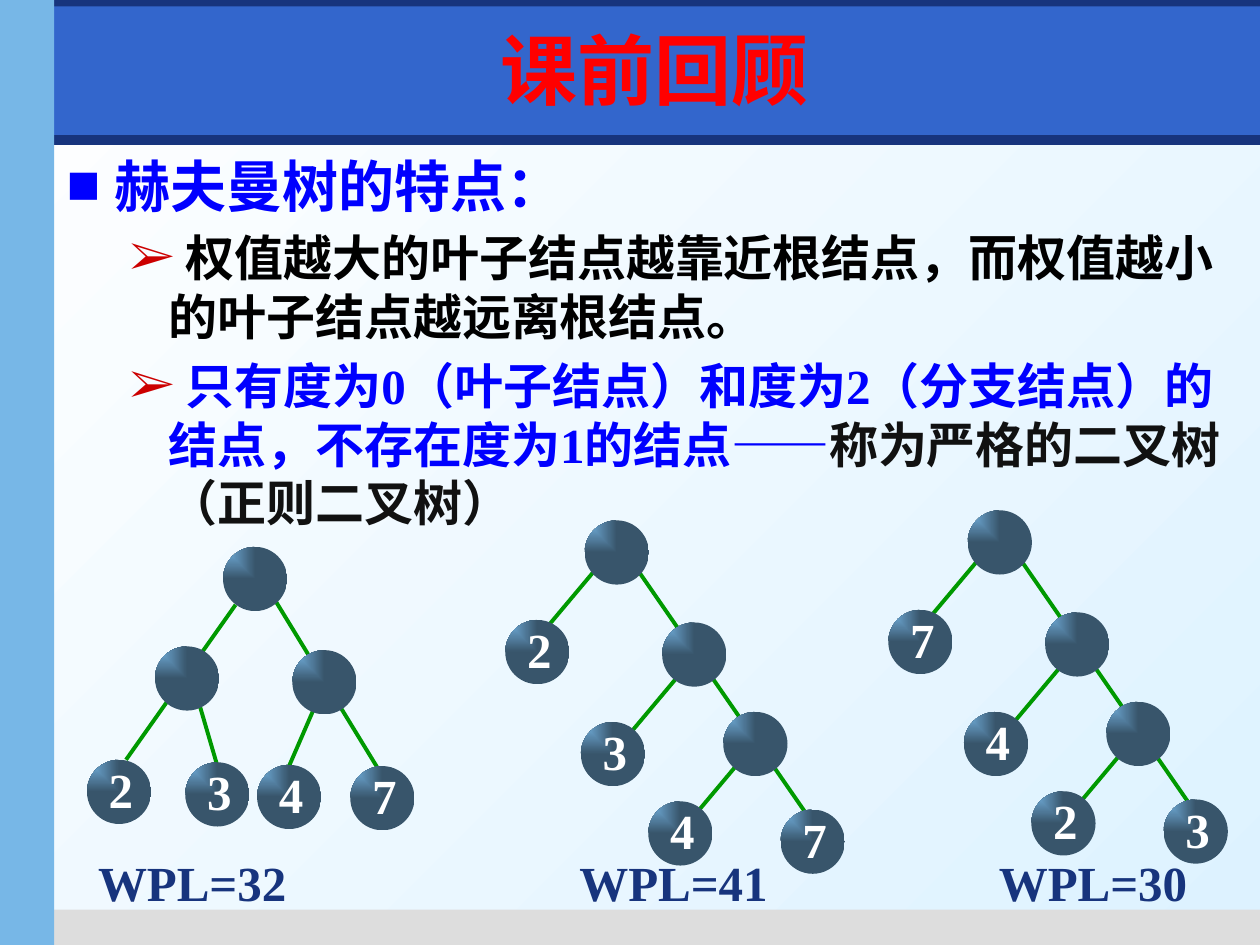
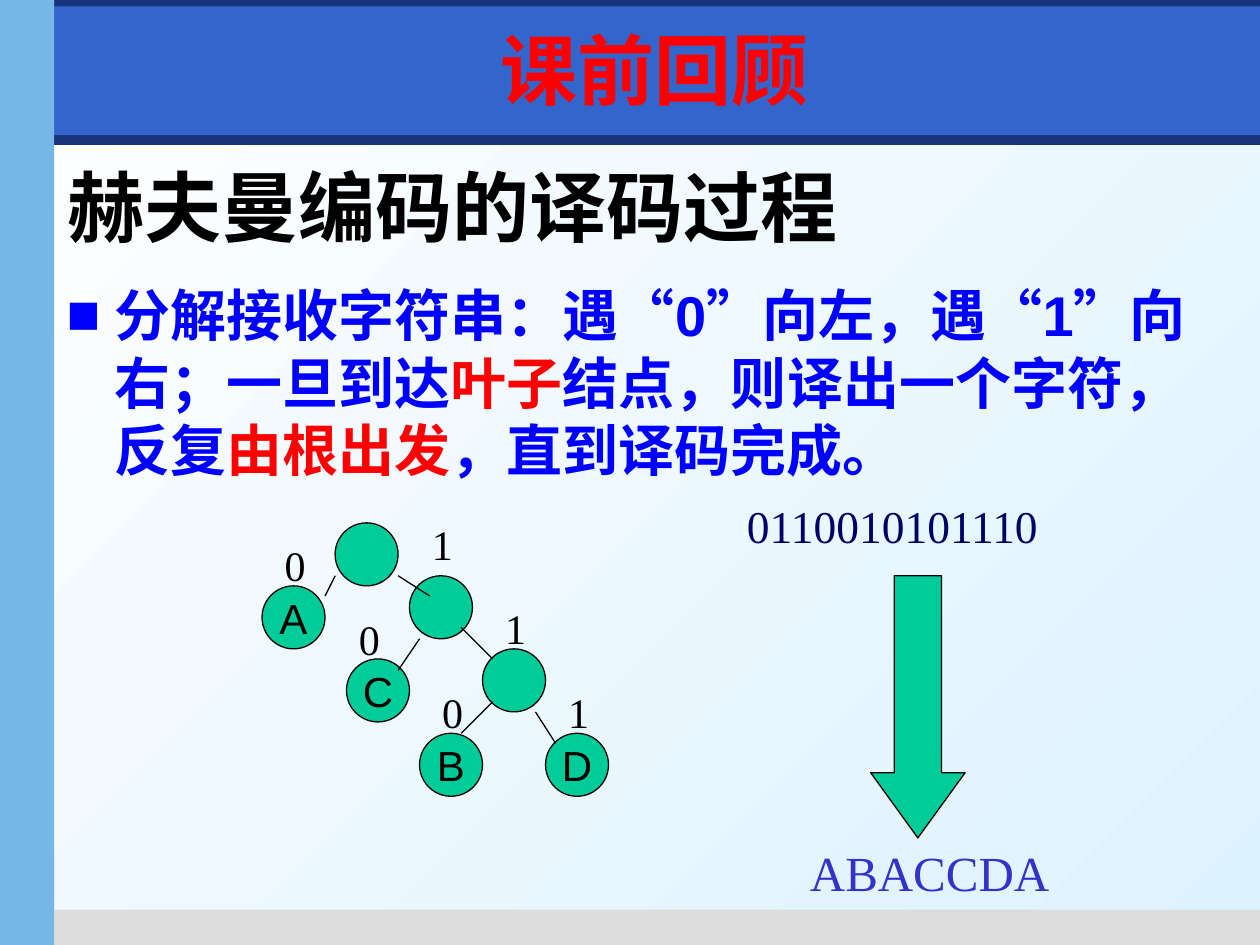
from dataclasses import dataclass
from typing import Any, NamedTuple, Optional

from lxml.etree import SubElement
from pptx import Presentation
from pptx.dml.color import RGBColor as Rgb
from pptx.enum.shapes import MSO_CONNECTOR as Link, MSO_SHAPE as Form
from pptx.enum.text import MSO_ANCHOR as Anchor, PP_ALIGN as Align
from pptx.oxml.ns import qn
from pptx.util import Emu, Inches, Pt

WIDE, HIGH = Inches(10), Inches(7.5)
COLS, ROWS = 100, 75


@dataclass(frozen=True)
class Theme:
    """Colours, fonts and type sizes of the deck."""
    navy: str = "17347D"
    band: str = "3366CC"
    sky: str = "77B7E7"
    shade: str = "38556B"
    foot: str = "DDDDDD"
    pale: str = "DDF2FF"
    white: str = "FFFFFF"
    black: str = "000000"
    ink: str = "111111"
    blue: str = "0000FF"
    red: str = "FF0000"
    mark: str = "CC0000"
    green: str = "009900"
    mint: str = "00CC99"
    code: str = "000066"
    plain: str = "3333CC"
    serif: str = "Times New Roman"
    sans: str = "Arial"
    head: str = "DejaVu Sans"
    title: int = 44
    lead: int = 32
    item: int = 28
    bits: int = 26
    label: int = 24
    thick: float = 2.25
    thin: float = 0.75


T = Theme()


class Box(NamedTuple):
    """A place on the grid: column, row, width and height."""
    x: float
    y: float
    w: float
    h: float


class Face(NamedTuple):
    """Look of a run of text."""
    size: int
    tint: str
    name: str = T.serif
    bold: bool = False


class Run(NamedTuple):
    """Words with one look."""
    words: str
    face: Face


class Bullet(NamedTuple):
    """Bullet sign, its colour, and left margin and hang in columns."""
    sign: str
    tint: str
    left: float
    hang: float


class Para(NamedTuple):
    """A paragraph of runs."""
    runs: list[Run]
    bullet: Optional[Bullet] = None


class Node(NamedTuple):
    """A tree node and its label."""
    x: float
    y: float
    label: str = ""


class Edge(NamedTuple):
    """A line between two grid points."""
    x1: float
    y1: float
    x2: float
    y2: float


@dataclass(frozen=True)
class Tree:
    """Nodes and edges placed from a common corner."""
    nodes: list[Node]
    edges: list[Edge]
    x: float = 0
    y: float = 0


def col(n: float) -> Emu:
    """Turn columns into a length."""
    return Emu(round(WIDE * n / COLS))


def row(n: float) -> Emu:
    """Turn rows into a length."""
    return Emu(round(HIGH * n / ROWS))


def place(b: Box) -> tuple[Emu, Emu, Emu, Emu]:
    """Turn a grid box into lengths."""
    return col(b.x), row(b.y), col(b.w), row(b.h)


def put(obj: Any, form: dict[str, Any]) -> None:
    """Set each format value on an object."""
    for key, value in form.items():
        setattr(obj, key, value)


def blend(fill: Any, first: str, last: str) -> None:
    """Fill with a gradient of two colours."""
    fill.gradient()
    for stop, tint in zip(fill.gradient_stops, (first, last)):
        stop.color.rgb = Rgb.from_string(tint)


def draw(slide: Any, form: Any, b: Box, tint: str, edge: str = "") -> Any:
    """Draw a flat preset shape."""
    shape = slide.shapes.add_shape(form, *place(b))
    shape.shadow.inherit = False
    shape.fill.solid()
    shape.fill.fore_color.rgb = Rgb.from_string(tint)
    if edge:
        shape.line.color.rgb = Rgb.from_string(edge)
        shape.line.width = Pt(T.thin)
    else:
        shape.line.fill.background()
    return shape


def join(slide: Any, e: Edge, tint: str, width: float) -> None:
    """Draw a straight line."""
    line = slide.shapes.add_connector(
        Link.STRAIGHT, col(e.x1), row(e.y1), col(e.x2), row(e.y2))
    line.line.color.rgb = Rgb.from_string(tint)
    line.line.width = Pt(width)
    SubElement(line._element.spPr, qn("a:effectLst"))


def write(para: Any, runs: list[Run]) -> None:
    """Add runs to a paragraph."""
    for words, face in runs:
        run = para.add_run()
        run.text = words
        put(run.font, dict(size=Pt(face.size), bold=face.bold, name=face.name))
        run.font.color.rgb = Rgb.from_string(face.tint)
        props = run._r.get_or_add_rPr()
        props.set("lang", "zh-CN")
        if face.name == T.head:
            SubElement(props, qn("a:ea"), typeface=T.head)


def dot(para: Any, b: Bullet) -> None:
    """Give a paragraph its bullet and hanging indent."""
    para.space_before = Pt(5.5)
    props = para._p.get_or_add_pPr()
    props.set("marL", str(col(b.left)))
    props.set("indent", str(-col(b.hang)))
    SubElement(SubElement(props, qn("a:buClr")), qn("a:srgbClr"), val=b.tint)
    SubElement(props, qn("a:buFont"), typeface=T.serif)
    SubElement(props, qn("a:buChar"), char=b.sign)


def text(slide: Any, b: Box, paras: list[Para], wrap: bool = True,
         anchor: Any = Anchor.TOP, align: Any = Align.LEFT) -> None:
    """Add a text box."""
    frame = slide.shapes.add_textbox(*place(b)).text_frame
    put(frame, dict(word_wrap=wrap, vertical_anchor=anchor))
    for n, item in enumerate(paras):
        para = frame.add_paragraph() if n else frame.paragraphs[0]
        para.alignment = align
        write(para, item.runs)
        if item.bullet:
            dot(para, item.bullet)


def note(slide: Any, b: Box, words: str, face: Face, **form: Any) -> None:
    """Add a text box of one run."""
    text(slide, b, [Para([Run(words, face)])], **form)


BANDS = [
    (Box(0.4, 10.7, 99.6, 0.8), T.navy),
    (Box(3.5, 72.2, 96.5, 2.8), T.foot),
    (Box(0, 0, 100, 2.1), T.navy),
    (Box(4.3, 0.5, 95.7, 10.2), T.band),
    (Box(0, 0, 4.3, 75), T.sky),
]


def start(deck: Any) -> Any:
    """Add a slide with the shared ground, bands and title."""
    slide = deck.slides.add_slide(deck.slide_layouts[6])
    ground = slide.background.fill
    blend(ground, T.white, T.pale)
    ground.gradient_angle = 315
    for b, tint in BANDS:
        draw(slide, Form.RECTANGLE, b, tint)
    note(slide, Box(5.9, 1.3, 92.1, 8.7), "课前回顾",
         Face(T.title, T.red, T.head, True), align=Align.CENTER)
    return slide


def ball(slide: Any, node: Node) -> None:
    """Draw a shaded node, lit from its upper left corner."""
    shape = draw(slide, Form.OVAL, Box(node.x, node.y, 5.1, 5.1), T.sky)
    blend(shape.fill, T.sky, T.shade)
    grad = shape._element.spPr.find(qn("a:gradFill"))
    grad.remove(grad.find(qn("a:lin")))
    way = SubElement(grad, qn("a:path"), {"path": "rect"})
    SubElement(way, qn("a:fillToRect"), r="100000", b="100000")
    if node.label:
        note(slide, Box(node.x + 0.75, node.y - 0.55, 4, 5.7), node.label,
             Face(T.item, T.white, bold=True), wrap=False, anchor=Anchor.MIDDLE)


def disc(slide: Any, node: Node) -> None:
    """Draw a flat node with its letter inside."""
    shape = draw(slide, Form.OVAL, Box(node.x, node.y, 5, 5), T.mint, T.black)
    if node.label:
        frame = shape.text_frame
        put(frame, dict(word_wrap=False, vertical_anchor=Anchor.MIDDLE))
        frame.paragraphs[0].alignment = Align.CENTER
        write(frame.paragraphs[0],
              [Run(node.label, Face(T.label, T.black, T.sans))])


def grow(slide: Any, tree: Tree) -> None:
    """Draw a tree of shaded nodes over its edges."""
    x, y = tree.x, tree.y
    for e in tree.edges:
        join(slide, Edge(e.x1 + x, e.y1 + y, e.x2 + x, e.y2 + y), T.green, T.thick)
    for n in tree.nodes:
        ball(slide, Node(n.x + x, n.y + y, n.label))


def lean(x: float, y: float, leaves: str) -> Tree:
    """Make a tree that leans right, with four leaves."""
    inner = [Node(0, 0), Node(6.15, 8.1), Node(11, 15.2)]
    spots = [(-6.3, 7.9), (-0.3, 16), (5.05, 22.3), (15.55, 22.95)]
    edges = [Edge(a, b, a - 4.2, b + 5)
             for a, b in ((1.2, 3.5), (7.85, 11.85), (12.85, 18.5))]
    outer = [Node(*spot, leaf) for spot, leaf in zip(spots, leaves)]
    return Tree(inner + outer, edges + [Edge(2.8, 1.9, 17.6, 23.3)], x, y)


FULL = Tree(
    [Node(17.7, 43.4), Node(12.3, 51.3), Node(23.2, 51.6), Node(6.9, 60.3, "2"),
     Node(14.7, 60.5, "3"), Node(20.4, 60.7, "4"), Node(27.8, 60.8, "7")],
    [Edge(21.2, 46.6, 30, 61), Edge(25.2, 55.6, 22.9, 60.9),
     Edge(15.5, 54.8, 17.2, 60.6), Edge(18.7, 48, 10, 60.3)])
CODE = Tree(
    [Node(26.6, 41.5), Node(32.5, 45.7), Node(38.3, 51.5), Node(20.8, 46.5, "A"),
     Node(27.5, 52.3, "C"), Node(33.3, 58.2, "B"), Node(43.3, 58.2, "D")],
    [Edge(26.6, 45.7, 25.8, 47.3), Edge(31.6, 45.7, 34.1, 47.3),
     Edge(33.3, 50.7, 31.6, 53.2), Edge(39.1, 55.7, 36.6, 58.2),
     Edge(42.5, 56.5, 44.1, 59), Edge(36.6, 49.8, 39.1, 52.3)])
BITS = [Node(21.6, 42.3, "0"), Node(27.5, 48.2, "0"), Node(34.1, 54, "0"),
        Node(33.3, 40.7, "1"), Node(39.1, 47.3, "1"), Node(44.1, 54, "1")]
SQUARE = Bullet("■", T.blue, 3.8, 3.8)
ARROW = Bullet("➢", T.mark, 8.1, 3.1)


def traits(deck: Any) -> None:
    """Build the slide on the traits of Huffman trees."""
    slide = start(deck)
    dark, blue, ink = (Face(T.item, c, bold=True) for c in (T.black, T.blue, T.ink))
    text(slide, Box(4.3, 11.5, 93.7, 59.8), [
        Para([Run("赫夫曼树的特点：", Face(T.lead, T.blue, bold=True))], SQUARE),
        Para([Run(" 权值越大的叶子结点越靠近根结点，而权值越小的叶子结点越远离根结点。", dark)], ARROW),
        Para([Run(" 只有度为0（叶子结点）和度为2（分支结点）的结点，不存在度为1的结点——", blue),
              Run("称为严格的二叉树（正则二叉树）", ink)], ARROW)])
    for tree in (FULL, lean(46.4, 41.3, "2347"), lean(76.8, 40.5, "7423")):
        grow(slide, tree)
    for x, cost in ((6.8, 32), (45, 41), (78.3, 30)):
        note(slide, Box(x, 67.2, 18, 5.7), f"WPL={cost}",
             Face(T.item, T.navy, bold=True))


def decode(deck: Any) -> None:
    """Build the slide on decoding."""
    slide = start(deck)
    note(slide, Box(4.4, 12, 92.1, 8.7), "赫夫曼编码的译码过程",
         Face(T.title, T.black, T.head, True), anchor=Anchor.MIDDLE)
    blue, red = (Face(T.lead, c, T.sans, True) for c in (T.blue, T.red))
    text(slide, Box(4.3, 21.8, 93.7, 49.6), [Para([
        Run("分解接收字符串：遇“0”向左，遇“1”向右；一旦到达", blue),
        Run("叶子", red), Run("结点，则译出一个字符，反复", blue),
        Run("由根出发", red), Run("，直到译码完成。", blue)], SQUARE)])
    arrow = draw(slide, Form.DOWN_ARROW, Box(69.1, 45.7, 7.5, 20.8), T.mint, T.black)
    arrow.adjustments[0], arrow.adjustments[1] = 0.5, 0.69
    note(slide, Box(58.3, 39, 27.5, 5.3), "0110010101110", Face(T.bits, T.code))
    note(slide, Box(63.3, 66.4, 21.7, 5.7), "ABACCDA", Face(T.item, T.plain))
    for node in CODE.nodes:
        disc(slide, node)
    for e in CODE.edges:
        join(slide, e, T.black, T.thin)
    for x, y, bit in BITS:
        note(slide, Box(x, y, 5.8, 5), bit, Face(T.label, T.black))


def main() -> None:
    """Build and save the deck."""
    deck = Presentation()
    put(deck, dict(slide_width=WIDE, slide_height=HIGH))
    traits(deck)
    decode(deck)
    deck.save("out.pptx")


if __name__ == "__main__":
    main()
